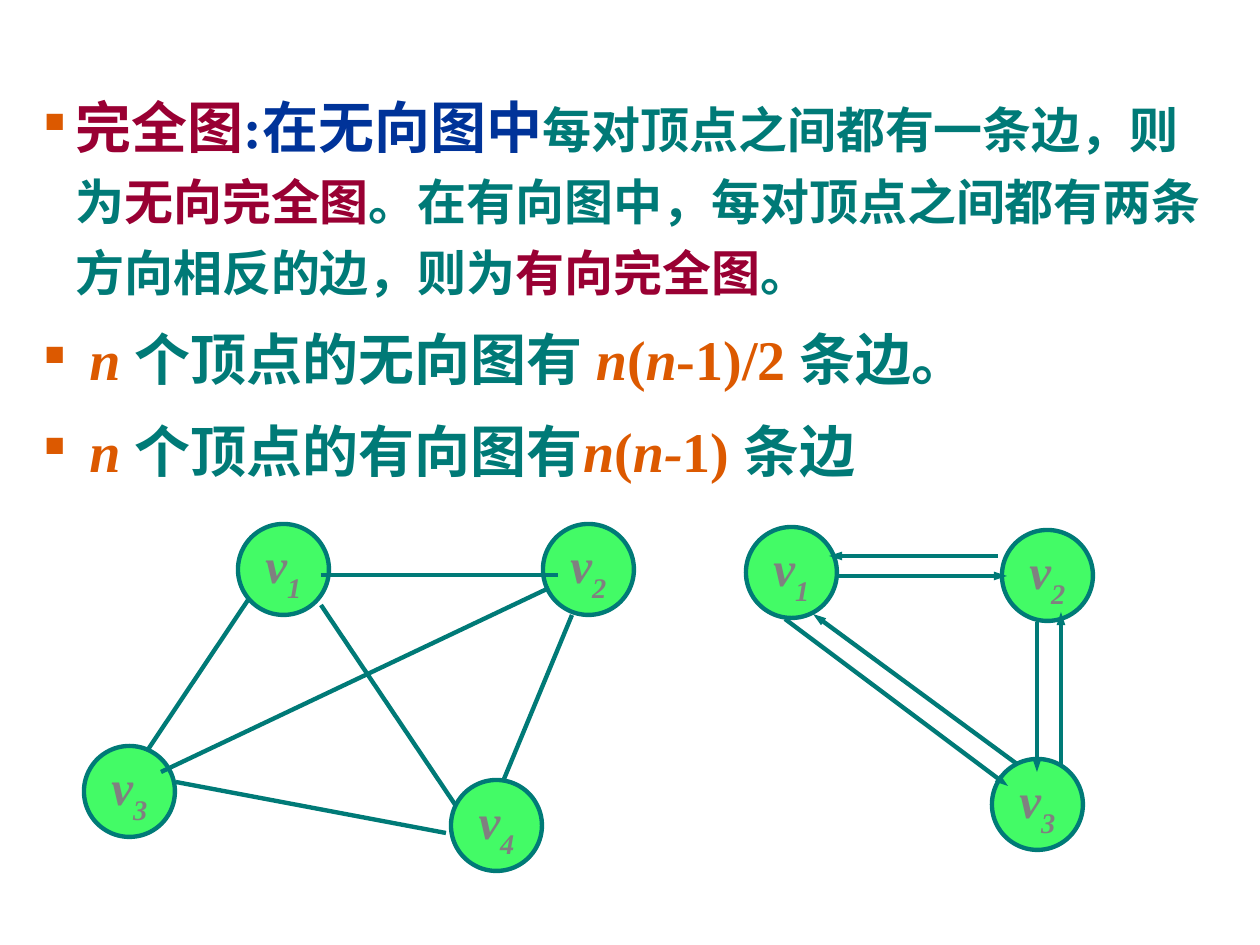
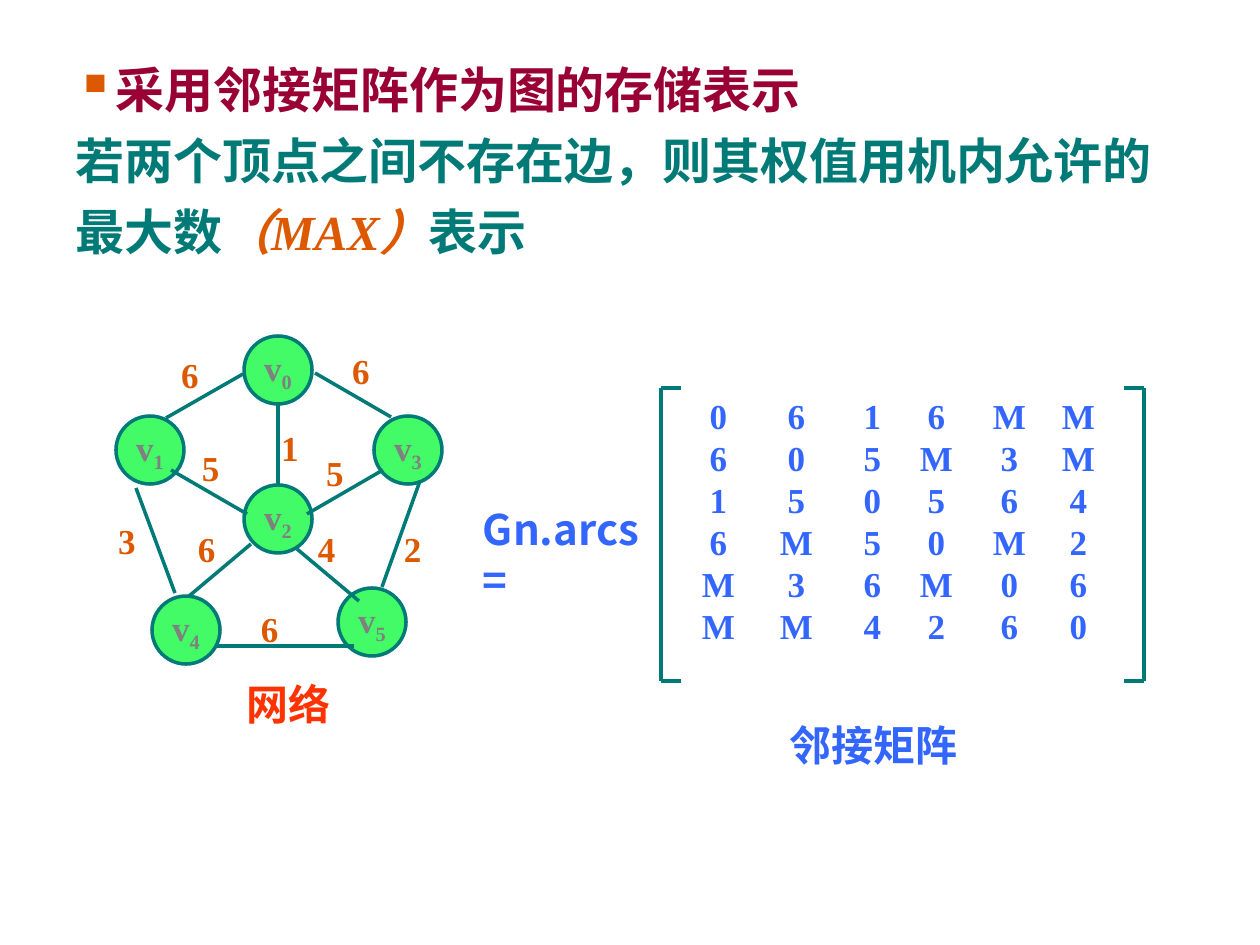
from lxml import etree
from pptx import Presentation
from pptx import util as u
from pptx.dml.color import RGBColor
from pptx.enum import shapes, text
from pptx.oxml import ns

# Shared look
EMU_PER_PX = 914400 / 126
SERIF, SANS = "Times New Roman", "Noto Sans CJK SC"
TEAL, GREEN, GREY = "007A77", "43FB66", "808080"
ORANGE, WINE, NAVY = "DC5900", "990033", "003399"
BLUE, RED = "3366FF", "FF3300"
BULLET_INDENT = 31


def px(length):
    return u.Emu(round(length * EMU_PER_PX))


def colour(hex_string):
    return RGBColor.from_string(hex_string)


def add_element(parent, tag, **attributes):
    element = etree.SubElement(parent, ns.qn(tag))
    for name, value in attributes.items():
        element.set(name, str(value))
    return element


# Text
def add_run(paragraph, words, hex_string, size, font=SERIF, italic=False):
    run = paragraph.add_run()
    run.text = words
    run.font.name = font
    run.font.size = u.Pt(size)
    run.font.bold = True
    run.font.italic = italic
    run.font.color.rgb = colour(hex_string)
    return run


def add_bullet(paragraph, character, percent):
    properties = paragraph._p.get_or_add_pPr()
    properties.set("marL", str(px(BULLET_INDENT)))
    properties.set("indent", str(-px(BULLET_INDENT)))
    add_element(add_element(properties, "a:buClr"), "a:srgbClr", val=ORANGE)
    add_element(properties, "a:buSzPct", val=percent * 1000)
    add_element(properties, "a:buChar", char=character)


def add_centre_tabs(paragraph, positions):
    tab_list = add_element(paragraph._p.get_or_add_pPr(), "a:tabLst")
    for position in positions:
        add_element(tab_list, "a:tab", pos=px(position), algn="ctr")


def add_text_box(slide, left, top, width, height, inset=True, wrap=True):
    box = slide.shapes.add_textbox(px(left), px(top), px(width), px(height))
    frame = box.text_frame
    frame.word_wrap = wrap
    if not inset:
        remove_insets(frame)
    return frame


def remove_insets(frame):
    frame.margin_left = frame.margin_right = 0
    frame.margin_top = frame.margin_bottom = 0


def add_label(slide, words, place, hex_string, size, font=SERIF, align=None, **box):
    frame = add_text_box(slide, *place, **box)
    frame.paragraphs[0].alignment = align
    add_run(frame.paragraphs[0], words, hex_string, size, font)


def add_body(slide, place, paragraphs, space_before=0):
    """Each paragraph is a bullet (character, percent) or None, then its runs."""
    frame = add_text_box(slide, *place)
    for index, (bullet, runs) in enumerate(paragraphs):
        paragraph = frame.add_paragraph() if index else frame.paragraphs[0]
        if bullet:
            add_bullet(paragraph, *bullet)
        paragraph.line_spacing = 1.2
        if index and space_before:
            paragraph.space_before = u.Pt(space_before)
        for run in runs:
            add_run(paragraph, *run)


# Graph parts
def add_node(slide, index, left, top, diameter, size, line_width, italic, drop):
    node = slide.shapes.add_shape(shapes.MSO_SHAPE.OVAL, px(left), px(top),
                                  px(diameter), px(diameter))
    node.shadow.inherit = False
    node.fill.solid()
    node.fill.fore_color.rgb = colour(GREEN)
    node.line.color.rgb = colour(TEAL)
    node.line.width = u.Pt(line_width)
    frame = node.text_frame
    remove_insets(frame)
    frame.vertical_anchor = text.MSO_ANCHOR.MIDDLE
    paragraph = frame.paragraphs[0]
    paragraph.alignment = text.PP_ALIGN.CENTER
    add_run(paragraph, "v", GREY, size, italic=italic)
    subscript = add_run(paragraph, str(index), GREY, size, italic=italic)
    subscript.font._element.set("baseline", str(-drop * 1000))


def add_line(slide, x1, y1, x2, y2, width, arrow=False):
    line = slide.shapes.add_connector(shapes.MSO_CONNECTOR.STRAIGHT,
                                      px(x1), px(y1), px(x2), px(y2))
    line.line.color.rgb = colour(TEAL)
    line.line.width = u.Pt(width)
    if arrow:
        add_element(line.line._get_or_add_ln(), "a:tailEnd",
                    type="triangle", w="sm", len="med")
    add_element(line._element.spPr, "a:effectLst")


def add_bracket(slide, x, top, bottom, serif):
    add_line(slide, x, top, x, bottom, 2)
    for y in (top, bottom):
        add_line(slide, x, y, x + serif, y, 2)


def add_matrix(slide, place, rows, columns):
    frame = add_text_box(slide, *place)
    for index, row in enumerate(rows):
        paragraph = frame.add_paragraph() if index else frame.paragraphs[0]
        add_centre_tabs(paragraph, columns)
        add_run(paragraph, "".join("\t" + value for value in row.split()), BLUE, 20)


# Slide 1: complete graphs
def build_complete_graphs(slide):
    node_style = dict(diameter=91, size=28, line_width=2.5, italic=True, drop=30)
    undirected_nodes = [(1, 238, 524), (2, 543, 524), (3, 84, 746), (4, 451, 780)]
    directed_nodes = [(1, 746, 527), (2, 1002, 530), (3, 992, 759)]
    for node in undirected_nodes + directed_nodes:
        add_node(slide, *node, **node_style)

    edges = [(248, 600, 147, 751), (176, 782, 446, 833), (321, 575, 558, 575),
             (572, 615, 504, 779), (549, 588, 161, 772), (321, 605, 456, 806)]
    for edge in edges:
        add_line(slide, *edge, 2.5)
    arcs = [(838, 576, 1007, 576), (1017, 764, 813, 614), (1037, 622, 1037, 772),
            (785, 619, 1008, 786), (1061, 764, 1061, 612), (998, 556, 829, 556)]
    for arc in arcs:
        add_line(slide, *arc, 2.5, arrow=True)

    square = ("■", 50)
    definition = [
        ("完全图", WINE, 32), (":在无向图中", NAVY, 32),
        ("每对顶点之间都有一条边，则为", TEAL, 28), ("无向完全图", WINE, 28),
        ("。在有向图中，每对顶点之间都有两条方向相反的边，则为", TEAL, 28),
        ("有向完全图", WINE, 28), ("。", TEAL, 28)]
    count = [(" ", TEAL, 32), ("n ", ORANGE, 32, SERIF, True)]
    variable = ("n", ORANGE, 32, SERIF, True)
    opening = ("(", ORANGE, 32)
    undirected = count + [("个顶点的无向图有 ", TEAL, 32), variable, opening, variable,
                          ("-1)/2 ", ORANGE, 32), ("条边。", TEAL, 32)]
    directed = count + [("个顶点的有向图有", TEAL, 32), variable, opening,
                        ("n-", ORANGE, 32, SERIF, True),
                        ("1) ", ORANGE, 32), ("条边", TEAL, 32)]
    add_body(slide, (32, 73, 1186, 417),
             [(square, runs) for runs in (definition, undirected, directed)],
             space_before=6)


# Slide 2: adjacency matrix of a network
def build_adjacency_matrix(slide):
    add_body(slide, (63, 42, 1134, 224), [
        (("▪", 110), [("采用邻接矩阵作为图的存储表示", WINE, 28, SANS)]),
        (None, [("若两个顶点之间不存在边，则其权值用机内允许的最大数", TEAL, 28, SANS),
                ("（MAX）", ORANGE, 28, SERIF, True),
                ("表示", TEAL, 28, SANS)])])

    # Network: nodes, then each edge with its weight and the place of the weight
    nodes = [(244, 336), (116, 416), (244, 485), (374, 416), (152, 596), (338, 588)]
    for index, (left, top) in enumerate(nodes):
        add_node(slide, index, left, top, diameter=68, size=20, line_width=2,
                 italic=False, drop=24)
    weighted_edges = [
        ((243, 374, 166, 418), "6", (181, 353)),
        ((315, 373, 391, 417), "6", (352, 349)),
        ((278, 404, 278, 486), "1", (281, 426)),
        ((171, 470, 247, 514), "5", (202, 446)),
        ((383, 470, 307, 514), "5", (326, 451)),
        ((251, 544, 188, 597), "6", (198, 527)),
        ((297, 549, 359, 601), "4", (318, 527)),
        ((215, 646, 354, 646), "6", (261, 607)),
        ((420, 481, 382, 587), "2", (404, 527)),
        ((136, 488, 175, 593), "3", (118, 519))]
    for edge, weight, corner in weighted_edges:
        add_line(slide, *edge, 2)
        add_label(slide, weight, (*corner, 30, 44), ORANGE, 20, inset=False)
    add_label(slide, "网络", (179, 672, 220, 63), RED, 24, SANS,
              align=text.PP_ALIGN.CENTER)

    # Matrix
    add_matrix(slide, (672, 388, 588, 388),
               ["0 6 1 6 M M", "6 0 5 M 3 M", "1 5 0 5 6 4",
                "6 M 5 0 M 2", "M 3 6 M 0 6", "M M 4 2 6 0"],
               columns=(34, 112, 188, 252, 325, 394))
    add_bracket(slide, 661, 388, 681, 20)
    add_bracket(slide, 1144, 388, 681, -20)
    add_label(slide, "Gn.arcs=", (483, 504, 179, 64), BLUE, 24, SANS, inset=False)
    add_label(slide, "邻接矩阵", (777, 713, 193, 63), BLUE, 24, SANS, wrap=False)


def main():
    presentation = Presentation()
    presentation.slide_width, presentation.slide_height = px(1260), px(945)
    blank = presentation.slide_layouts[6]
    for build in (build_complete_graphs, build_adjacency_matrix):
        build(presentation.slides.add_slide(blank))
    presentation.save("out.pptx")


if __name__ == "__main__":
    main()
